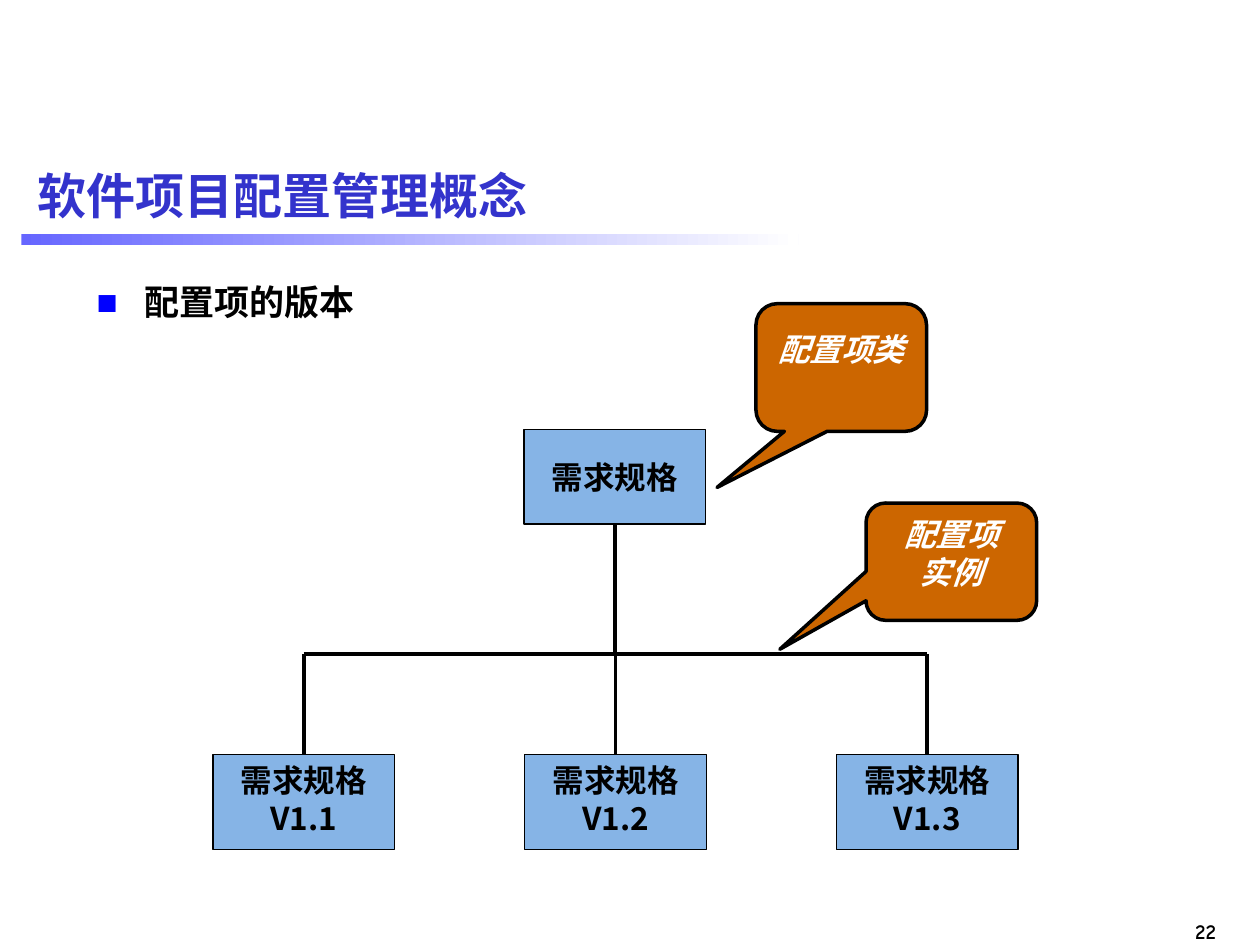
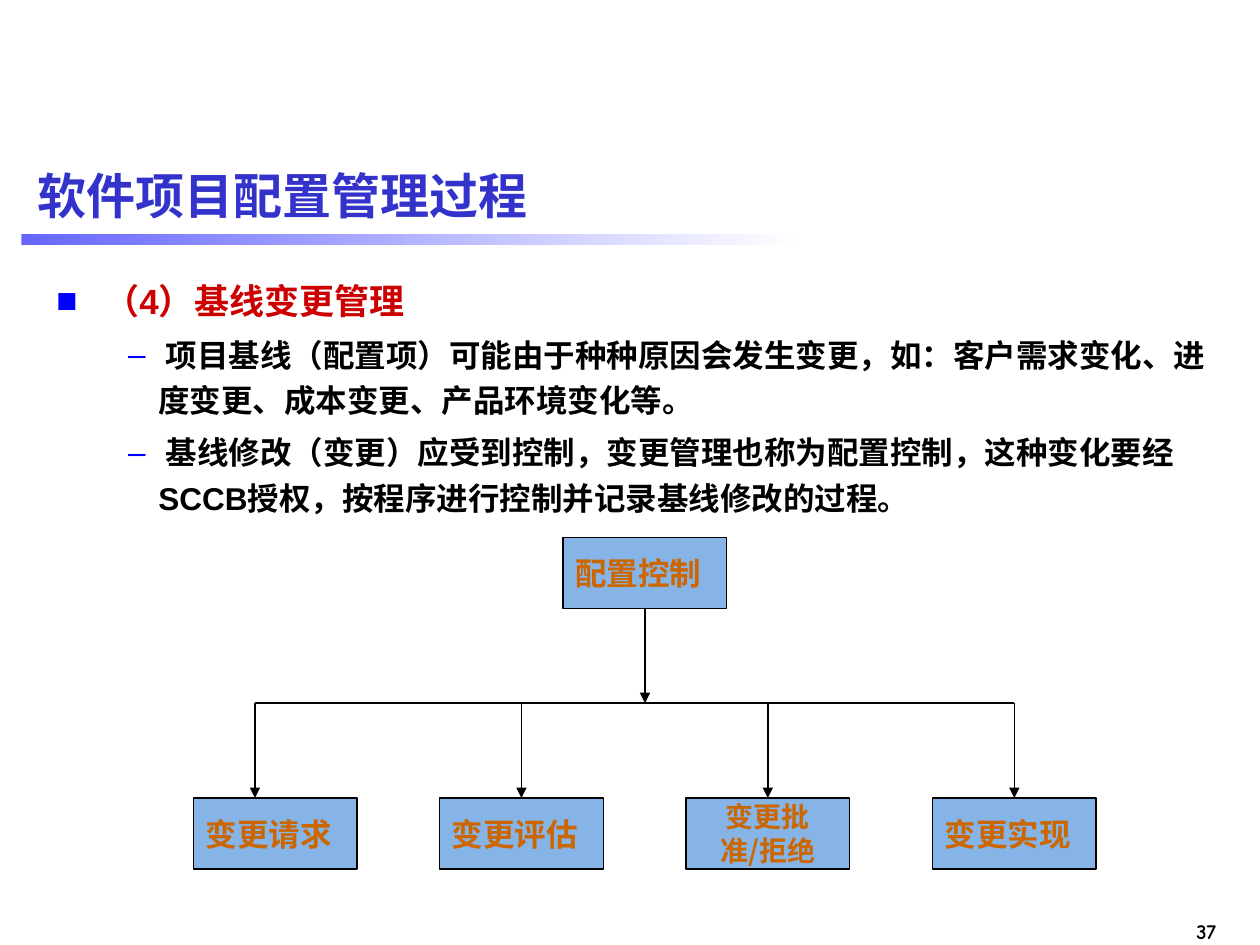
from pptx import Presentation
from pptx.dml.color import RGBColor
from pptx.enum.shapes import MSO_CONNECTOR, MSO_SHAPE
from pptx.enum.text import MSO_ANCHOR, MSO_AUTO_SIZE, PP_ALIGN
from pptx.oxml.ns import qn
from pptx.util import Pt
from lxml import etree

RECT, BUBBLE = MSO_SHAPE.RECTANGLE, MSO_SHAPE.ROUNDED_RECTANGULAR_CALLOUT
STRAIGHT = MSO_CONNECTOR.STRAIGHT
TOP, MIDDLE = MSO_ANCHOR.TOP, MSO_ANCHOR.MIDDLE
LEFT, CENTER, RIGHT, JUST = (PP_ALIGN.LEFT, PP_ALIGN.CENTER,
                             PP_ALIGN.RIGHT, PP_ALIGN.JUSTIFY)
CJK, ARIAL, TIMES, COMIC = "Noto Sans CJK SC", "Arial", "Times New Roman", "Comic Neue"

COLORS = dict(title="3333CC", band="6666FF", white="FFFFFF", black="000000",
              bullet="0000FF", box="86B4E6", bubble="CC6600", red="CC0000")

# Bullet level: sign, left margin, hanging indent, text size
LEVELS = [("■", 27.4, 27.4, 20), ("–", 58.3, 17.3, 18)]

SLIDES = [
    dict(
        title="软件项目配置管理概念", page="22",
        body=dict(place=(48.2, 157, 658, 383), spacing=1.0,
                  items=[(0, "black", [("配置项的版本", CJK)])]),
        tree=dict(
            size=(103.7, 54), root=(299.5, 245.5), row=(121.7, 431.3), step=178.2,
            bus=373.7, nudge=0, weight=2.25, arrows=False, ink="black",
            head=("需求规格", CJK, 18, CENTER, MIDDLE),
            kids=[(f"需求规格V1.{n}", CJK, 18, CENTER, TOP) for n in (1, 2, 3)]),
        bubbles=[
            dict(place=(432, 173.5, 97.5, 73), tip=(-0.728, 0.939, 0.167),
                 lines=["配置项类"], anchor=MIDDLE, foot=25),
            dict(place=(494.9, 287.5, 97.5, 67), tip=(-1.005, 0.747, 0.167),
                 lines=["配置项", "实例"], anchor=TOP, foot=3.6)]),
    dict(
        title="软件项目配置管理过程", page="37",
        body=dict(place=(25.2, 151.2, 680.6, 388.8), spacing=1.2, items=[
            (0, "red", [("（4）基线变更管理", ARIAL)]),
            (1, "black", [(" 项目基线（配置项）可能由于种种原因会发生变更，如：客户需求变化、"
                           "进度变更、成本变更、产品环境变化等。", ARIAL)]),
            (1, "black", [(" 基线修改（变更）应受到控制，变更管理也称为配置控制，这种变化要经", ARIAL),
                          ("SCCB", ARIAL),
                          ("授权，按程序进行控制并记录基线修改的过程。", ARIAL)])]),
        tree=dict(
            size=(93.6, 40.6), root=(321.8, 307), row=(110.4, 456), step=140.8,
            bus=401.8, nudge=-11.5, weight=0.75, arrows=True, ink="bubble",
            head=("配置控制", TIMES, 18, JUST, MIDDLE),
            kids=[("变更请求", TIMES, 18, JUST, MIDDLE),
                  ("变更评估", TIMES, 18, JUST, MIDDLE),
                  ("变更批准/拒绝", CJK, 16, CENTER, MIDDLE),
                  ("变更实现", TIMES, 18, JUST, MIDDLE)]),
        bubbles=[]),
]


def rgb(name):
    return RGBColor.from_string(COLORS[name])


def pts(vals):
    return [Pt(v) for v in vals]


def add_run(para, text, font, size, color, italic=False):
    """Add a bold run; Chinese glyphs always use the CJK face."""
    run = para.add_run()
    run.text = text
    style = run.font
    style.size, style.bold, style.name = Pt(size), True, font
    style.color.rgb = rgb(color)
    if italic:
        style.italic = True
    face = etree.SubElement(run.font._element, qn("a:ea"))
    face.set("typeface", CJK)


def set_frame(shape, anchor):
    frame = shape.text_frame
    frame.word_wrap = True
    frame.auto_size = MSO_AUTO_SIZE.NONE
    frame.vertical_anchor = anchor
    return frame


def add_shape(slide, kind, place, fill, weight):
    shape = slide.shapes.add_shape(kind, *pts(place))
    shape.shadow.inherit = False
    shape.fill.solid()
    shape.fill.fore_color.rgb = rgb(fill)
    shape.line.color.rgb = rgb("black")
    shape.line.width = Pt(weight)
    return shape


def add_line(slide, start, end, weight, arrow=False):
    line = slide.shapes.add_connector(STRAIGHT, *pts(start + end))
    line.line.color.rgb = rgb("black")
    line.line.width = Pt(weight)
    props = line._element.spPr
    if arrow:
        tail = etree.SubElement(props.find(qn("a:ln")), qn("a:tailEnd"))
        tail.set("type", "triangle")
    etree.SubElement(props, qn("a:effectLst"))


def add_base(deck, title, page):
    """Make a slide with the shared title, gradient band and page number."""
    slide = deck.slides.add_slide(deck.slide_layouts[5])
    band = slide.shapes.add_shape(RECT, *pts((12.2, 134, 444.2, 5.8)))
    band.shadow.inherit = False
    band.line.fill.background()
    band.fill.gradient()
    band.fill.gradient_angle = 0
    for stop, color, spot in zip(band.fill.gradient_stops, ("band", "white"), (0, 1)):
        stop.color.rgb, stop.position = rgb(color), spot

    head = slide.shapes.title
    head.left, head.top, head.width, head.height = pts((14.4, 82.8, 692, 56.9))
    para = set_frame(head, MIDDLE).paragraphs[0]
    para.alignment = LEFT
    add_run(para, title, ARIAL, 28, "title")

    foot = slide.shapes.add_textbox(*pts((662.4, 521.3, 39.6, 21.6)))
    para = set_frame(foot, TOP).paragraphs[0]
    para.alignment = RIGHT
    add_run(para, page, COMIC, 12, "black")
    return slide


def add_bullet(para, level):
    sign, margin, hang, _ = LEVELS[level]
    para.level = level
    props = para._p.get_or_add_pPr()
    props.set("marL", str(Pt(margin)))
    props.set("indent", str(-Pt(hang)))
    tint = etree.SubElement(props, qn("a:buClr"))
    etree.SubElement(tint, qn("a:srgbClr")).set("val", COLORS["bullet"])
    etree.SubElement(props, qn("a:buFont")).set("typeface", ARIAL)
    etree.SubElement(props, qn("a:buChar")).set("char", sign)


def add_body(slide, place, spacing, items):
    frame = set_frame(slide.shapes.add_textbox(*pts(place)), TOP)
    for i, (level, color, runs) in enumerate(items):
        para = frame.add_paragraph() if i else frame.paragraphs[0]
        add_bullet(para, level)
        para.line_spacing = spacing
        if i:
            para.space_before = Pt(4)
        for text, font in runs:
            add_run(para, text, font, LEVELS[level][3], color)


def add_box(slide, place, label, ink):
    text, font, size, align, anchor = label
    box = add_shape(slide, RECT, place, "box", 0.75)
    para = set_frame(box, anchor).paragraphs[0]
    para.alignment = align
    add_run(para, text, font, size, ink)


def add_tree(slide, size, root, row, step, bus, nudge, weight, arrows, ink, head, kids):
    """Draw a head box, a bus line and evenly spaced boxes; nudge moves the first drop."""
    wide, high = size
    left, top = row
    add_box(slide, root + size, head, ink)
    drops = []
    for i, label in enumerate(kids):
        x = left + i * step
        add_box(slide, (x, top) + size, label, ink)
        drops.append(x + wide / 2)
    drops[0] += nudge
    mid = root[0] + wide / 2
    add_line(slide, (drops[0], bus), (drops[-1], bus), weight)
    add_line(slide, (mid, root[1] + high), (mid, bus), weight, arrows)
    for x in drops:
        add_line(slide, (x, bus), (x, top), weight, arrows)


def add_bubble(slide, place, tip, lines, anchor, foot):
    shape = add_shape(slide, BUBBLE, place, "bubble", 2)
    for i, val in enumerate(tip):
        shape.adjustments[i] = val
    frame = set_frame(shape, anchor)
    frame.margin_bottom = Pt(foot)
    for i, text in enumerate(lines):
        para = frame.add_paragraph() if i else frame.paragraphs[0]
        para.alignment = CENTER
        add_run(para, text, TIMES, 18, "white", italic=True)


def main():
    deck = Presentation()
    deck.slide_width, deck.slide_height = Pt(720), Pt(540)
    for data in SLIDES:
        slide = add_base(deck, data["title"], data["page"])
        add_body(slide, **data["body"])
        add_tree(slide, **data["tree"])
        for bubble in data["bubbles"]:
            add_bubble(slide, **bubble)
    deck.save("out.pptx")


if __name__ == "__main__":
    main()
